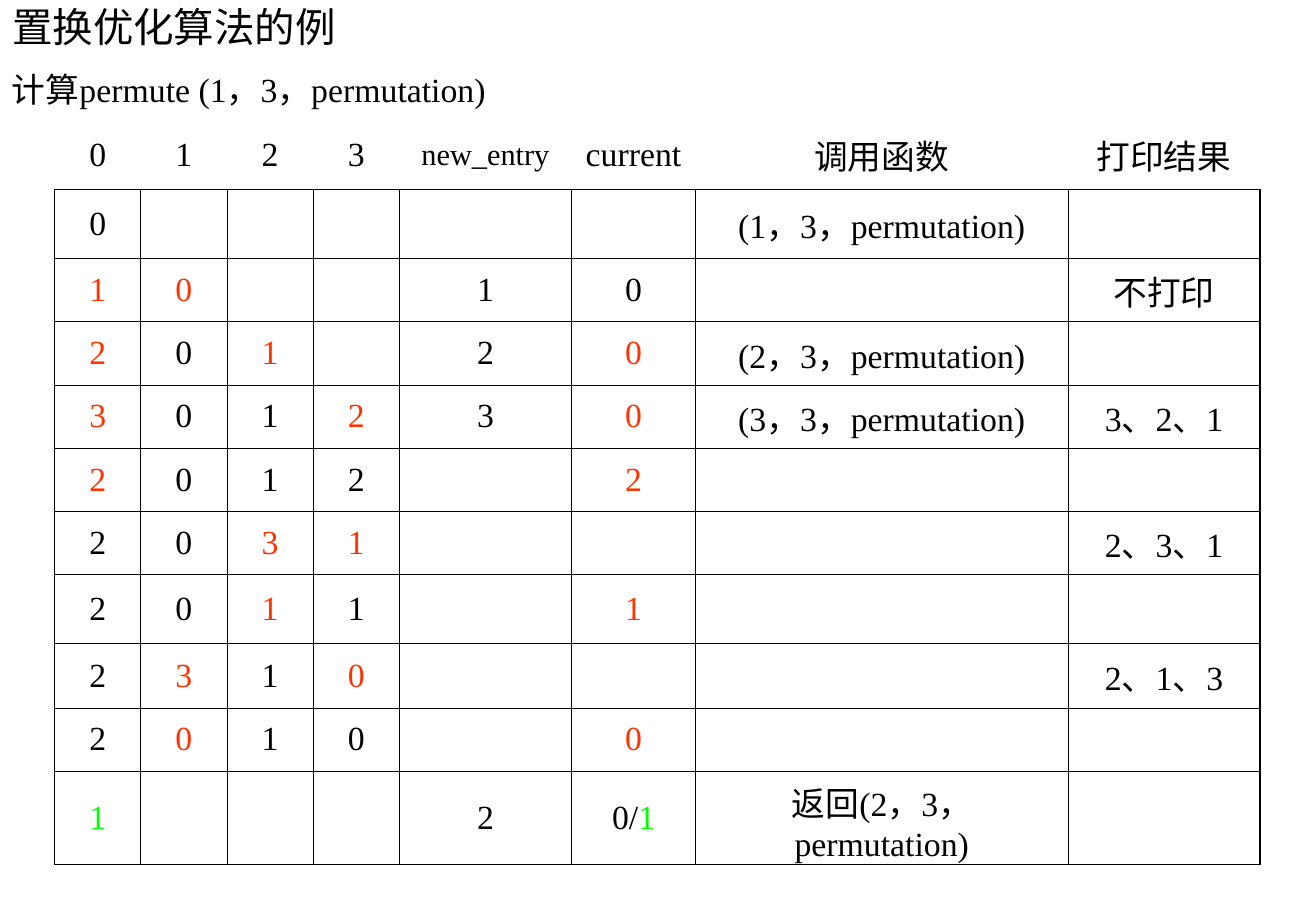
"""Build the slide that traces the permutation algorithm in a table."""
from lxml.etree import SubElement
from pptx import Presentation
from pptx.dml.color import RGBColor
from pptx.enum.text import MSO_ANCHOR as Anchor, PP_ALIGN as Align
from pptx.oxml.ns import qn
from pptx.util import Inches, Pt

FACE = "Times New Roman"
PLAIN = "{2D5ABB26-0587-4C30-8999-92F81FD0307C}"
TINTS = {"*": "FF3300", "+": "00FF00"}
WIDTHS = [0.71] * 4 + [1.42, 1.02, 3.07, 1.58]
HEIGHTS = [0.57] * 2 + [0.52] * 5 + [0.57, 0.53, 0.52, 0.77]
ROWS = [
    "0|1|2|3|new_entry|current|调用函数|打印结果",
    "0||||||(1，3，permutation)|",
    "*1|*0|||1|0||不打印",
    "*2|0|*1||2|*0|(2，3，permutation)|",
    "*3|0|1|*2|3|*0|(3，3，permutation)|3、2、1",
    "*2|0|1|2||*2||",
    "2|0|*3|*1||||2、3、1",
    "2|0|*1|1||*1||",
    "2|*3|1|*0||||2、1、3",
    "2|*0|1|0||*0||",
    "+1||||2|0/~+1|返回(2，3，permutation)|",
]


def style(font, size, tint="000000"):
    font.name = FACE
    font.size = Pt(size)
    font.bold = False
    font.color.rgb = RGBColor.from_string(tint)


def border(cell, side, width):
    line = SubElement(cell._tc.get_or_add_tcPr(), qn("a:ln" + side), w=str(Pt(width)))
    fill = SubElement(line, qn("a:solidFill"))
    SubElement(fill, qn("a:srgbClr"), val="000000")


prs = Presentation()
prs.slide_width, prs.slide_height = Inches(10.84), Inches(7.5)
slide = prs.slides.add_slide(prs.slide_layouts[5])

title = slide.shapes.title
title.left, title.top = Inches(0), Inches(0)
title.width, title.height = Inches(9.21), Inches(0.44)
title.text_frame.text = "置换优化算法的例"
title.text_frame.vertical_anchor = Anchor.MIDDLE
head = title.text_frame.paragraphs[0]
head.alignment = Align.LEFT
style(head.font, 24)

box = slide.shapes.add_textbox(Inches(0), Inches(0.52), Inches(10.53), Inches(0.45))
box.text_frame.word_wrap = True
call = box.text_frame.paragraphs[0]
call.text = "计算permute (1，3，permutation)"
style(call.font, 20)

frame = slide.shapes.add_table(
    len(ROWS), len(WIDTHS), Inches(0.45), Inches(0.99),
    Inches(sum(WIDTHS)), Inches(sum(HEIGHTS)))
table = frame.table
table.first_row = table.horz_banding = False
table._tbl.tblPr.find(qn("a:tableStyleId")).text = PLAIN
for col, width in zip(table.columns, WIDTHS):
    col.width = Inches(width)
for row, height in zip(table.rows, HEIGHTS):
    row.height = Inches(height)

last_row, last_col = len(ROWS) - 1, len(WIDTHS) - 1
for r, row in enumerate(ROWS):
    for c, text in enumerate(row.split("|")):
        cell = table.cell(r, c)
        if r:
            border(cell, "L", 0.45 if c else 1.08)
            border(cell, "R", 1.08 if c == last_col else 0.45)
            border(cell, "T", 0.45)
        border(cell, "B", 1.08 if r == last_row else 0.45)
        cell.fill.background()
        cell.vertical_anchor = Anchor.MIDDLE
        para = cell.text_frame.paragraphs[0]
        para.alignment = Align.CENTER
        style(para.font, 18 if text == "new_entry" else 20)
        for part in filter(None, text.split("~")):
            run = para.add_run()
            run.text = part.lstrip("*+")
            if part[0] in TINTS:
                run.font.color.rgb = RGBColor.from_string(TINTS[part[0]])

prs.save("out.pptx")
